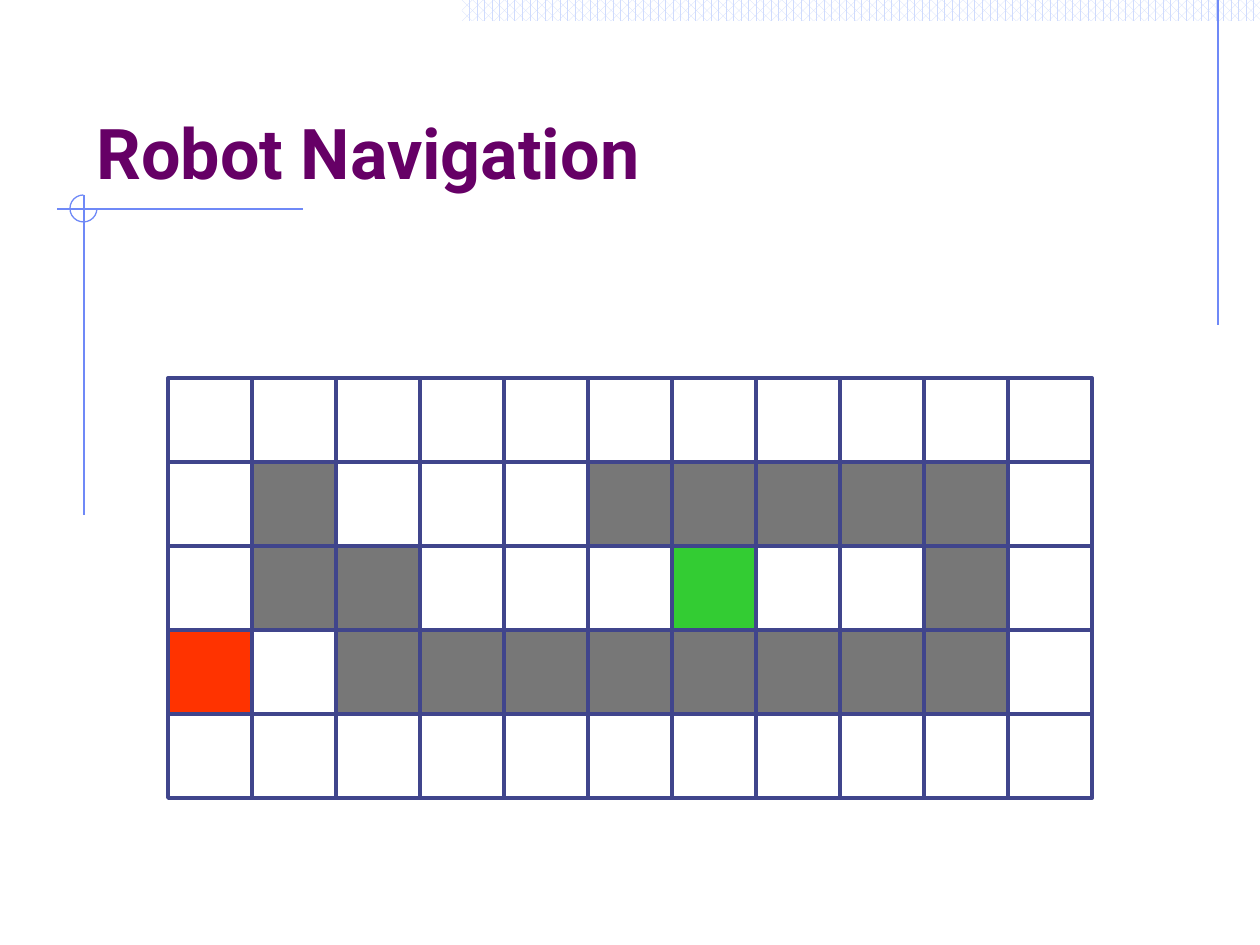
from lxml.etree import SubElement
from pptx import Presentation
from pptx.dml.color import RGBColor
from pptx.enum.dml import MSO_PATTERN
from pptx.enum.shapes import MSO_CONNECTOR, MSO_SHAPE
from pptx.enum.text import MSO_ANCHOR, MSO_AUTO_SIZE, PP_ALIGN
from pptx.oxml.ns import qn
from pptx.util import Pt

PX = 914400 / 126
COLORS = {
    "title": "660066",
    "band": "CFDBFD",
    "paper": "FFFFFF",
    "accent": "6F89F7",
    "border": "40458C",
    "wall": "777777",
    "robot": "FF3300",
    "goal": "33CC33",
}
RGB = {role: RGBColor.from_string(value) for role, value in COLORS.items()}


def write(frame, text, *, size, color, font="Roboto", bold=False,
          align=PP_ALIGN.LEFT, anchor=MSO_ANCHOR.BOTTOM):
    frame.word_wrap = True
    frame.auto_size = MSO_AUTO_SIZE.NONE
    frame.vertical_anchor = anchor
    paragraph = frame.paragraphs[0]
    paragraph.alignment = align
    run = paragraph.add_run()
    run.text = text
    run.font.name = font
    run.font.size = Pt(size)
    run.font.bold = bold
    run.font.color.rgb = RGB[color]


def add_line(x1, y1, x2, y2, color, width):
    ends = [round(v * PX) for v in (x1, y1, x2, y2)]
    line = slide.shapes.add_connector(MSO_CONNECTOR.STRAIGHT, *ends)
    line.line.color.rgb = RGB[color]
    line.line.width = Pt(width)
    SubElement(line._element.spPr, qn("a:effectLst"))


prs = Presentation()
prs.slide_width = round(1260 * PX)
prs.slide_height = round(945 * PX)
slide = prs.slides.add_slide(prs.slide_layouts[5])

# Decoration: patterned band, rules and the three-quarter circle
band = slide.shapes.add_shape(
    MSO_SHAPE.RECTANGLE, *[round(v * PX) for v in (462, 0, 798, 21)])
band.shadow.inherit = False
band.fill.patterned()
band.fill.pattern = MSO_PATTERN.PERCENT_60
band.fill.fore_color.rgb = RGB["band"]
band.fill.back_color.rgb = RGB["paper"]
band.line.fill.background()

for rule in [(1218, 0, 1218, 325), (303, 209, 57, 209), (84, 195, 84, 515)]:
    add_line(*rule, "accent", 0.75)

circle = slide.shapes.add_shape(
    MSO_SHAPE.ARC, *[round(v * PX) for v in (70, 195, 27, 27)])
circle.shadow.inherit = False
circle.adjustments[0] = 0
circle.adjustments[1] = 162  # 270 degrees, in units of 100000/60000 degree
circle.fill.background()
circle.line.color.rgb = RGB["accent"]
circle.line.width = Pt(0.75)

# Title
title = slide.shapes.title
title.left, title.top, title.width, title.height = [
    round(v * PX) for v in (84, 42, 1071, 158)]
write(title.text_frame, "Robot Navigation", size=40, color="title", bold=True)

# Map: # wall, R robot, G goal, . free cell
MAP = [
    "...........",
    ".#...#####.",
    ".##...G..#.",
    "R.########.",
    "...........",
]
KINDS = {"#": "wall", "R": "robot", "G": "goal"}
CELL, LEFT, TOP = 84, 168, 378
WIDTH, HEIGHT = CELL * len(MAP[0]), CELL * len(MAP)

for column in range(1, len(MAP[0])):
    x = LEFT + column * CELL
    add_line(x, TOP, x, TOP + HEIGHT, "border", 2.25)
for row in range(1, len(MAP)):
    y = TOP + row * CELL
    add_line(LEFT, y, LEFT + WIDTH, y, "border", 2.25)

areas = [(LEFT, TOP, WIDTH, HEIGHT, None)]
for row, marks in enumerate(MAP):
    for column, mark in enumerate(marks):
        if mark in KINDS:
            areas.append((LEFT + column * CELL, TOP + row * CELL,
                          CELL, CELL, KINDS[mark]))

for *bounds, kind in areas:
    area = slide.shapes.add_shape(
        MSO_SHAPE.RECTANGLE, *[round(v * PX) for v in bounds])
    area.shadow.inherit = False
    if kind:
        area.fill.solid()
        area.fill.fore_color.rgb = RGB[kind]
    else:
        area.fill.background()
    area.line.color.rgb = RGB["border"]
    area.line.width = Pt(2.25)

prs.save("out.pptx")
